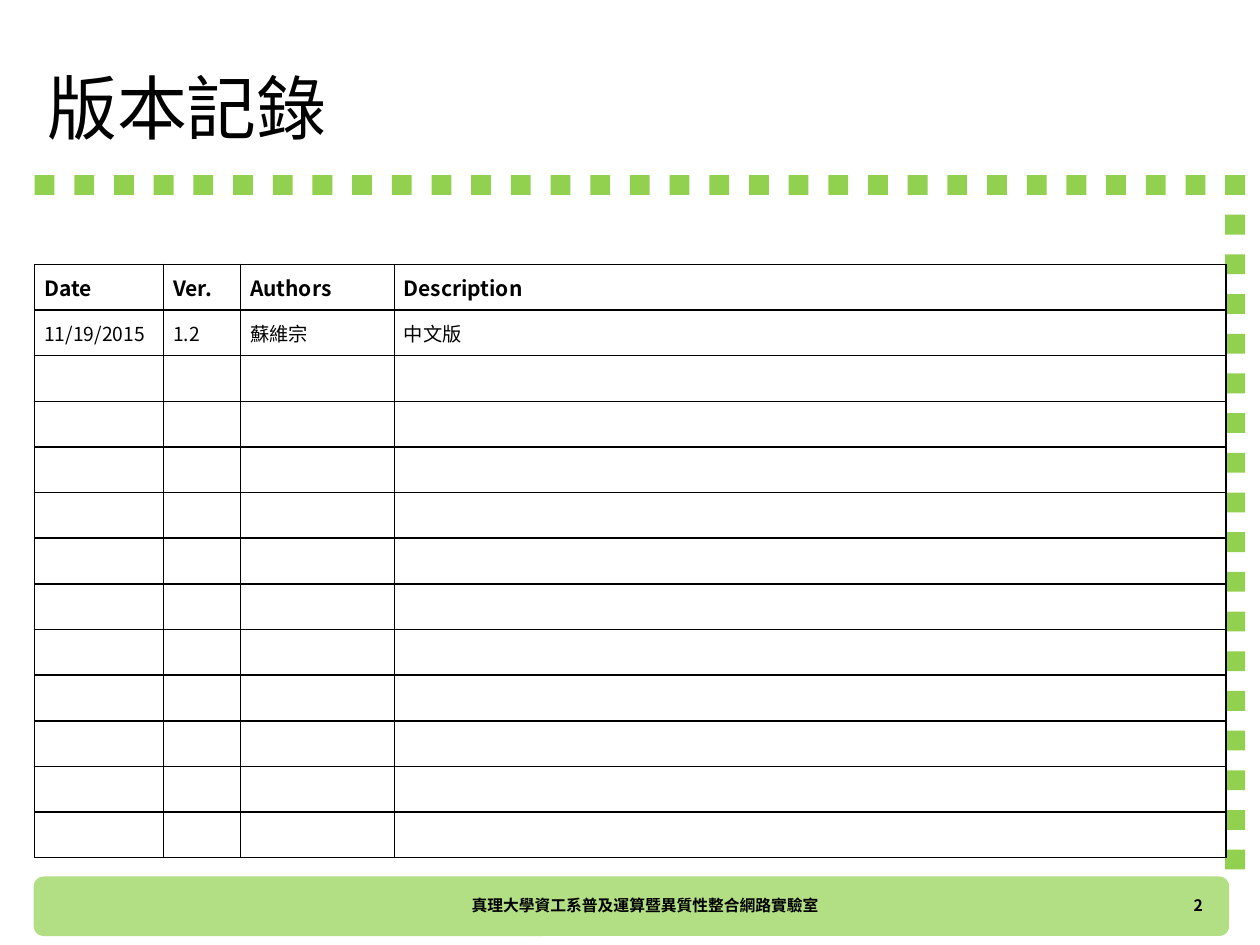
from lxml.etree import SubElement
from pptx import Presentation
from pptx.dml.color import RGBColor
from pptx.enum.shapes import MSO_SHAPE as Shape
from pptx.enum.text import MSO_ANCHOR as Anchor, PP_ALIGN as Align
from pptx.oxml.ns import qn
from pptx.util import Cm, Pt

FONT = "Noto Sans CJK SC"
BLACK, WHITE, GREEN = "000000", "FFFFFF", "92D050"


def colour(hex_string):
    return RGBColor.from_string(hex_string)


class SlideBuilder:
    """Holds the style and the slide being drawn."""

    def __init__(self, slide, font=FONT, text_colour=BLACK):
        self.slide = slide
        self.font = font
        self.text_colour = text_colour

    def format_text(self, paragraph, size, bold=False):
        for run in paragraph.runs:
            run.font.name = self.font
            run.font.size = Pt(size)
            run.font.bold = bold
            run.font.color.rgb = colour(self.text_colour)
            SubElement(run.font._element, qn("a:ea"), typeface=self.font)

    def block(self, kind, left, top, width, height, fill, opacity=100):
        shape = self.slide.shapes.add_shape(
            kind, Cm(left), Cm(top), Cm(width), Cm(height))
        shape.shadow.inherit = False
        shape.fill.solid()
        shape.fill.fore_color.rgb = colour(fill)
        shape.line.fill.background()
        if opacity < 100:
            tint = shape.fill._xPr.find(".//" + qn("a:srgbClr"))
            SubElement(tint, qn("a:alpha"), val=str(opacity * 1000))

    def text(self, content, left, top, width, height, size,
             bold=False, align=Align.LEFT):
        box = self.slide.shapes.add_textbox(
            Cm(left), Cm(top), Cm(width), Cm(height))
        frame = box.text_frame
        frame.word_wrap = True
        frame.vertical_anchor = Anchor.MIDDLE
        frame.text = content
        frame.paragraphs[0].alignment = align
        self.format_text(frame.paragraphs[0], size, bold)

    def border(self, cell):
        properties = cell._tc.get_or_add_tcPr()
        for index, side in enumerate(("lnL", "lnR", "lnT", "lnB")):
            line = properties.makeelement(qn("a:" + side), {"w": str(Pt(1))})
            fill = SubElement(line, qn("a:solidFill"))
            SubElement(fill, qn("a:srgbClr"), val=BLACK)
            properties.insert(index, line)

    def table(self, records, row_count, left, top, widths, row_height):
        frame = self.slide.shapes.add_table(
            row_count, len(widths), Cm(left), Cm(top),
            Cm(sum(widths)), Cm(row_height * row_count))
        table = frame.table
        table.first_row = table.horz_banding = False
        for column, width in zip(table.columns, widths):
            column.width = Cm(width)
        for row_index, row in enumerate(table.rows):
            row.height = Cm(row_height)
            for column_index, cell in enumerate(row.cells):
                cell.fill.solid()
                cell.fill.fore_color.rgb = colour(WHITE)
                cell.vertical_anchor = Anchor.MIDDLE
                cell.margin_left = cell.margin_right = Cm(0.19)
                cell.margin_top = cell.margin_bottom = Cm(0.1)
                self.border(cell)
                paragraph = cell.text_frame.paragraphs[0]
                if row_index < len(records):
                    paragraph.text = records[row_index][column_index]
                    header = row_index == 0
                    self.format_text(paragraph, 12 if header else 11, header)
                else:
                    # Keeps empty rows from growing to the default text size
                    SubElement(paragraph._p, qn("a:endParaRPr"), sz="1100")


def main():
    presentation = Presentation()
    presentation.slide_width, presentation.slide_height = Cm(25.4), Cm(19.05)
    slide = presentation.slides.add_slide(presentation.slide_layouts[6])
    builder = SlideBuilder(slide)

    # Footer bar
    builder.block(Shape.ROUNDED_RECTANGLE, 0.68, 17.67, 24.1, 1.2, GREEN, 70)

    # Dotted border: along the top, then down the right side
    left, top, pitch, side = 0.7, 3.53, 0.8, 0.4
    across, down = 31, 17
    right = left + (across - 1) * pitch
    corners = [(left + i * pitch, top) for i in range(across)]
    corners += [(right, top + i * pitch) for i in range(1, down + 1)]
    for x, y in corners:
        builder.block(Shape.RECTANGLE, x, y, side, side, GREEN)

    # Title
    builder.text("版本記錄", 0.7, 0.76, 20, 2.77, 40)

    # Version history
    records = [
        ("Date", "Ver.", "Authors", "Description"),
        ("11/19/2015", "1.2", "蘇維宗", "中文版"),
    ]
    builder.table(records, 13, 0.7, 5.33, (2.6, 1.55, 3.1, 16.76), 0.92)

    # Footer text and page number
    builder.text("真理大學資工系普及運算暨異質性整合網路實驗室",
                 4.1, 17.75, 17.8, 1, 9, True, Align.CENTER)
    builder.text("2", 22.3, 17.75, 2.2, 1, 9, True, Align.RIGHT)

    presentation.save("out.pptx")


if __name__ == "__main__":
    main()
